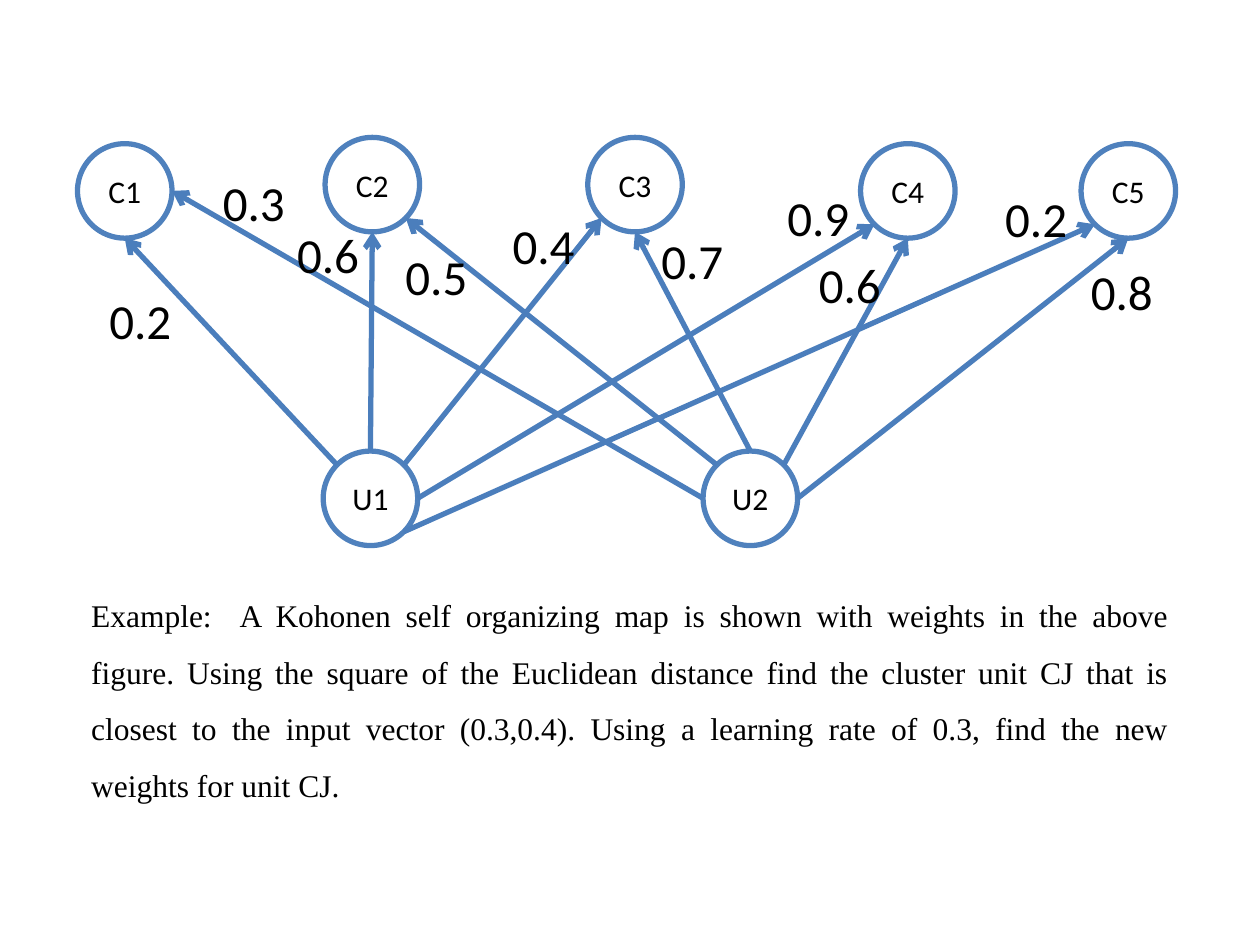
import math

import lxml.etree
import pptx
import pptx.dml.color
import pptx.enum.shapes
import pptx.enum.text
import pptx.oxml.ns
import pptx.util

COLUMNS, ROWS = 100, 75
CELL = pptx.util.Inches(0.1)
DIAMETER = 7.5
BLACK, WHITE, OUTLINE, ARROW = "000000", "FFFFFF", "4F81BD", "4B7EBC"

UNITS = {
    "C1": (6.15, 11.4),
    "C2": (25.8, 10.9),
    "C3": (46.65, 10.9),
    "C4": (68.3, 11.4),
    "C5": (85.8, 11.4),
    "U1": (25.65, 35.8),
    "U2": (55.8, 35.8),
}

PORT_DEGREES = {
    "right": 0, "lower right": 45, "bottom": 90, "lower left": 135,
    "left": 180, "upper left": 225, "top": 270, "upper right": 315,
}

WEIGHTS = [
    ("U1", "upper left", "C1", "bottom", "0.2", 7.7, 22.6),
    ("U2", "left", "C1", "right", "0.3", 16.7, 13.2),
    ("U1", "top", "C2", "bottom", "0.6", 22.6, 17.3),
    ("U2", "upper left", "C2", "lower right", "0.5", 31.2, 19.1),
    ("U1", "upper right", "C3", "lower left", "0.4", 39.7, 16.6),
    ("U2", "top", "C3", "bottom", "0.7", 51.5, 17.8),
    ("U1", "right", "C4", "lower left", "0.9", 61.5, 14.4),
    ("U2", "upper right", "C4", "bottom", "0.6", 64, 19.7),
    ("U1", "lower right", "C5", "lower left", "0.2", 78.8, 14.5),
    ("U2", "right", "C5", "bottom", "0.8", 85.6, 20.3),
]

EXERCISE = (
    "Example:  A Kohonen self organizing map is shown with weights in the above "
    "figure. Using the square of the Euclidean distance find the cluster unit CJ "
    "that is closest to the input vector (0.3,0.4). Using a learning rate of 0.3, "
    "find the new weights for unit CJ."
)


def grid(*cells):
    """Turn counts of grid cells into slide lengths."""
    return [round(count * CELL) for count in cells]


def paint(color_format, hex_color):
    """Apply a hex colour to a fill, line or font colour."""
    color_format.rgb = pptx.dml.color.RGBColor.from_string(hex_color)


def write(frame, wording, size, font_name, alignment):
    """Fill a text frame with one formatted paragraph."""
    frame.text = wording
    paragraph = frame.paragraphs[0]
    paragraph.alignment = alignment
    font = paragraph.runs[0].font
    font.size = pptx.util.Pt(size)
    font.name = font_name
    paint(font.color, BLACK)
    return paragraph


def add_unit(slide, unit, column, row):
    """Draw one network unit as a labelled circle."""
    circle = slide.shapes.add_shape(
        pptx.enum.shapes.MSO_SHAPE.OVAL, *grid(column, row, DIAMETER, DIAMETER)
    )
    circle.shadow.inherit = False
    circle.fill.solid()
    paint(circle.fill.fore_color, WHITE)
    paint(circle.line.color, OUTLINE)
    circle.line.width = pptx.util.Pt(3)
    circle.text_frame.vertical_anchor = pptx.enum.text.MSO_ANCHOR.MIDDLE
    write(circle.text_frame, unit, 18, "Calibri", pptx.enum.text.PP_ALIGN.CENTER)


def port_position(unit, port):
    """Find a named point on the rim of a unit."""
    column, row = UNITS[unit]
    angle = math.radians(PORT_DEGREES[port])
    radius = DIAMETER / 2
    return grid(
        column + radius * (1 + math.cos(angle)),
        row + radius * (1 + math.sin(angle)),
    )


def add_arrow(slide, source, source_port, cluster, cluster_port):
    """Link an input unit to a cluster unit with an open arrowhead."""
    arrow = slide.shapes.add_connector(
        pptx.enum.shapes.MSO_CONNECTOR.STRAIGHT,
        *port_position(source, source_port),
        *port_position(cluster, cluster_port),
    )
    paint(arrow.line.color, ARROW)
    arrow.line.width = pptx.util.Pt(3)
    qn = pptx.oxml.ns.qn
    properties = arrow.element.spPr
    lxml.etree.SubElement(properties.find(qn("a:ln")), qn("a:tailEnd"), type="arrow")
    lxml.etree.SubElement(properties, qn("a:effectLst"))


def add_weight(slide, weight, column, row):
    """Place the value of a connection weight."""
    label = slide.shapes.add_textbox(*grid(column, row, 7, 5.7))
    label.text_frame.word_wrap = False
    write(label.text_frame, weight, 28, "Calibri", pptx.enum.text.PP_ALIGN.LEFT)


def add_exercise(slide):
    """Set the exercise below the network."""
    box = slide.shapes.add_textbox(*grid(6.25, 45.3, 87.5, 22.2))
    box.text_frame.word_wrap = True
    paragraph = write(
        box.text_frame, EXERCISE, 18, "Times New Roman",
        pptx.enum.text.PP_ALIGN.JUSTIFY,
    )
    paragraph.line_spacing = 1.5


def main():
    """Build the slide with the network and its exercise."""
    deck = pptx.Presentation()
    deck.slide_width, deck.slide_height = grid(COLUMNS, ROWS)
    slide = deck.slides.add_slide(deck.slide_layouts[6])
    for unit, place in UNITS.items():
        add_unit(slide, unit, *place)
    for connection in WEIGHTS:
        add_arrow(slide, *connection[:4])
    for connection in WEIGHTS:
        add_weight(slide, *connection[4:])
    add_exercise(slide)
    deck.save("out.pptx")


if __name__ == "__main__":
    main()
